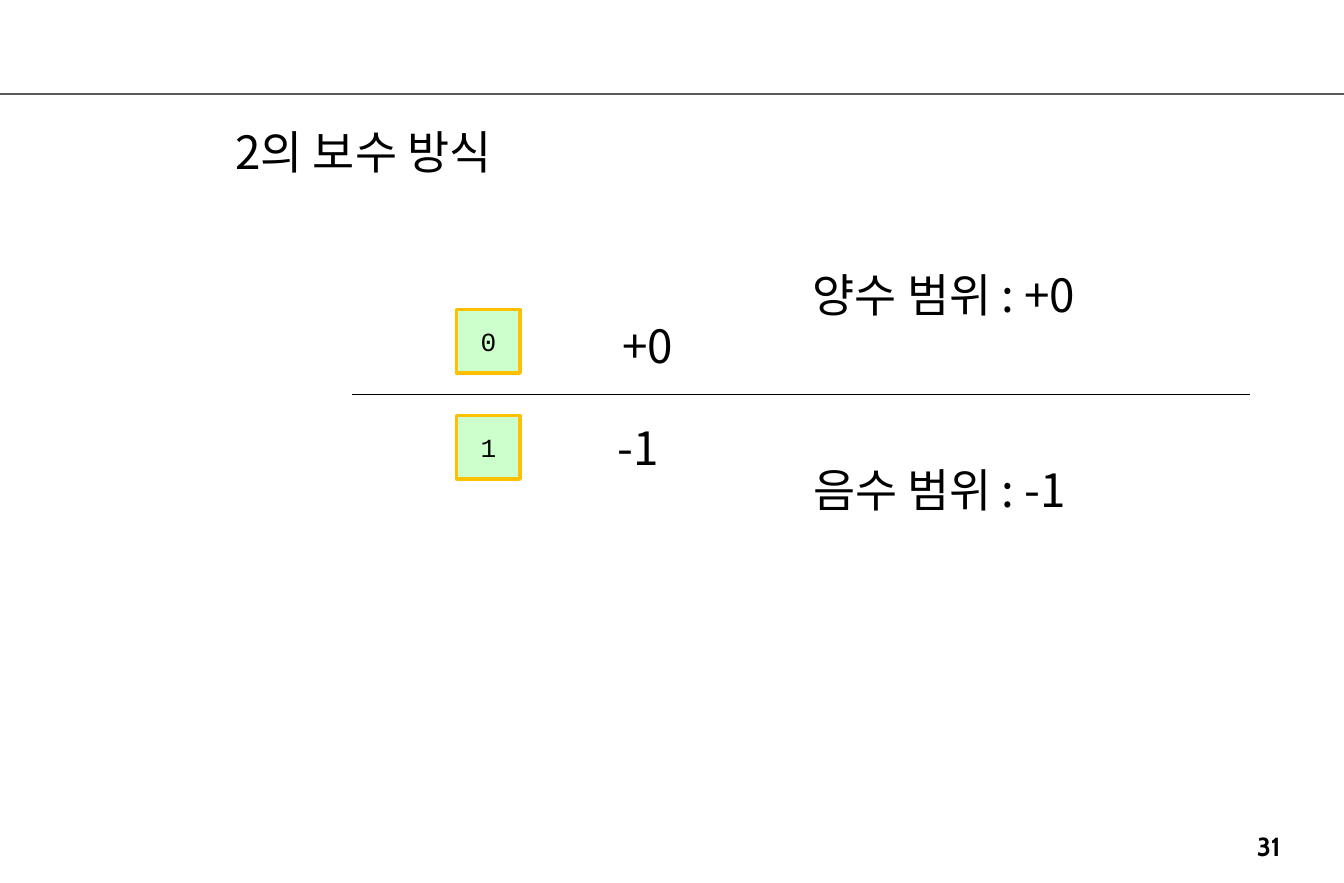
from pptx import Presentation
from pptx.dml.color import RGBColor
from pptx.enum.shapes import MSO_CONNECTOR, MSO_SHAPE
from pptx.enum.text import MSO_ANCHOR, PP_ALIGN
from pptx.oxml.ns import qn
from pptx.util import Inches, Pt
from lxml import etree

BLACK = RGBColor(0x00, 0x00, 0x00)
GREY = RGBColor(0x59, 0x59, 0x59)
GREEN = RGBColor(0xCC, 0xFF, 0xCC)
GOLD = RGBColor(0xFF, 0xC0, 0x00)
SANS, MONO, CABIN = "Noto Sans CJK KR", "Courier New", "Cabin"
LEFT, CENTER = PP_ALIGN.LEFT, PP_ALIGN.CENTER
TOP, MIDDLE = MSO_ANCHOR.TOP, MSO_ANCHOR.MIDDLE
STRAIGHT, RECT = MSO_CONNECTOR.STRAIGHT, MSO_SHAPE.RECTANGLE
WIDTH, HEIGHT = 11.42, 7.5


class Page:
    """Draws styled elements on one slide."""

    def __init__(self, deck):
        self.slide = deck.slides.add_slide(deck.slide_layouts[5])
        self.shapes = self.slide.shapes

    def set_text(self, shape, text, size=28, face=SANS, bold=False,
                 align=LEFT, anchor=TOP, wrap=False):
        frame = shape.text_frame
        frame.text = text
        frame.word_wrap = wrap
        frame.vertical_anchor = anchor
        para = frame.paragraphs[0]
        para.alignment = align
        font = para.font
        font.size, font.name, font.bold = Pt(size), face, bold
        font.color.rgb = BLACK
        props = para._p.pPr.find(qn("a:defRPr"))
        etree.SubElement(props, qn("a:ea")).set("typeface", face)

    def title(self, text, x, y, w, h):
        shape = self.shapes.title
        shape.left, shape.top = Inches(x), Inches(y)
        shape.width, shape.height = Inches(w), Inches(h)
        self.set_text(shape, text)

    def label(self, text, x, y, w, h=0.57, **style):
        box = self.shapes.add_textbox(Inches(x), Inches(y), Inches(w), Inches(h))
        self.set_text(box, text, **style)

    def bit(self, text, x, y, side=0.54):
        box = self.shapes.add_shape(RECT, Inches(x), Inches(y), Inches(side), Inches(side))
        box.shadow.inherit = False
        box.fill.solid()
        box.fill.fore_color.rgb = GREEN
        box.line.color.rgb = GOLD
        box.line.width = Pt(2)
        self.set_text(box, text, 16, MONO, align=CENTER, anchor=MIDDLE, wrap=True)

    def rule(self, start, end, y, color, width):
        line = self.shapes.add_connector(STRAIGHT, Inches(start), Inches(y), Inches(end), Inches(y))
        line.line.color.rgb = color
        line.line.width = Pt(width)
        etree.SubElement(line._element.spPr, qn("a:effectLst"))


def main():
    deck = Presentation()
    deck.slide_width, deck.slide_height = Inches(WIDTH), Inches(HEIGHT)
    page = Page(deck)
    page.rule(0, WIDTH, 0.8, GREY, 1.5)
    page.title("2의 보수 방식", 1.9, 1, 2.66, 0.57)
    page.label("양수 범위 : +0", 6.81, 2.22, 2.76)
    page.label("음수 범위 : -1", 6.81, 3.87, 2.65)
    page.bit("0", 3.88, 2.63)
    page.bit("1", 3.88, 3.53)
    page.label("+0", 5.19, 2.65, 0.69)
    page.label("-1", 5.15, 3.52, 0.58)
    page.rule(2.99, 10.62, 3.35, BLACK, 0.75)
    page.label("31", 10.28, 7, 1, 0.24, size=16, face=CABIN, bold=True, align=CENTER)
    deck.save("out.pptx")


if __name__ == "__main__":
    main()
